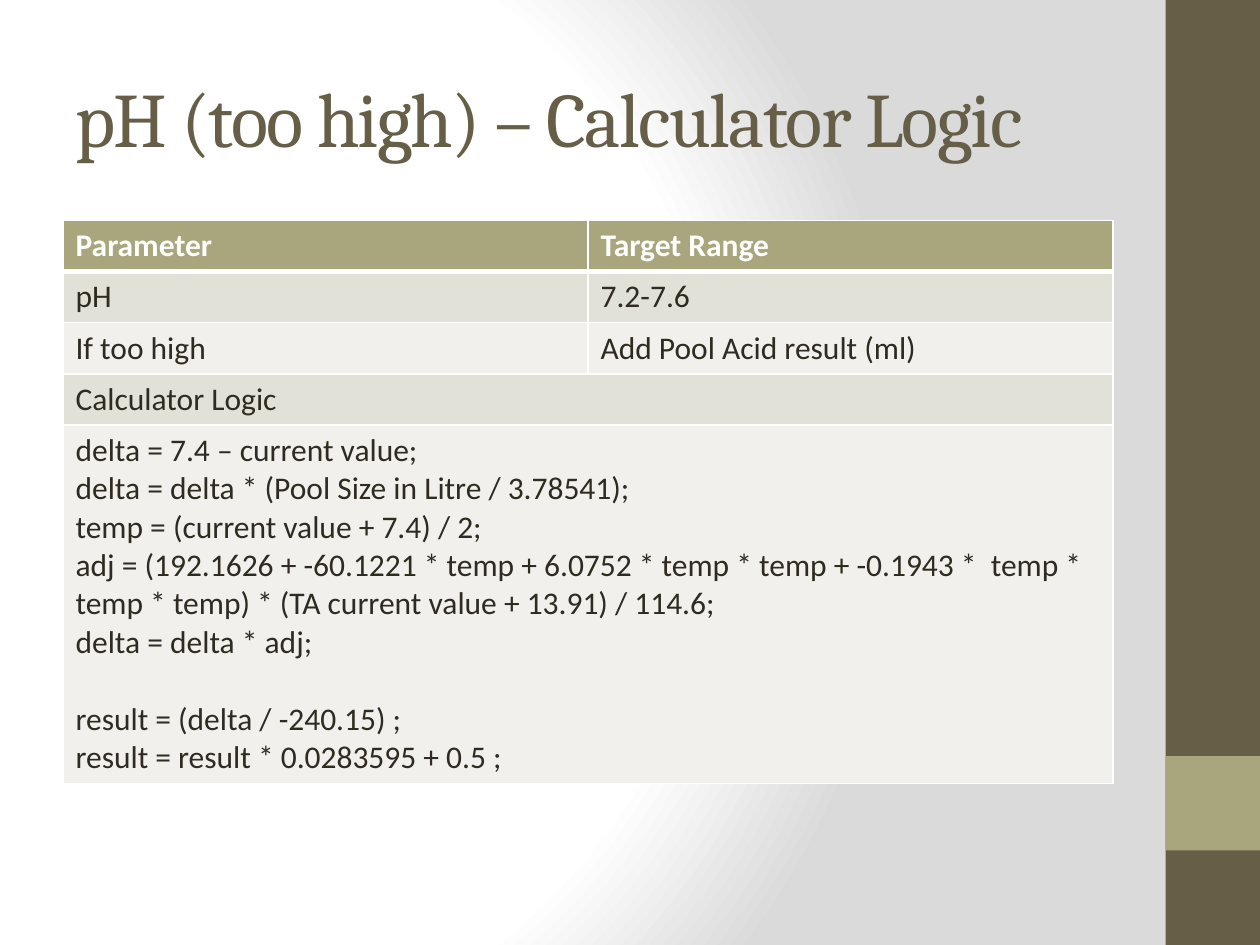
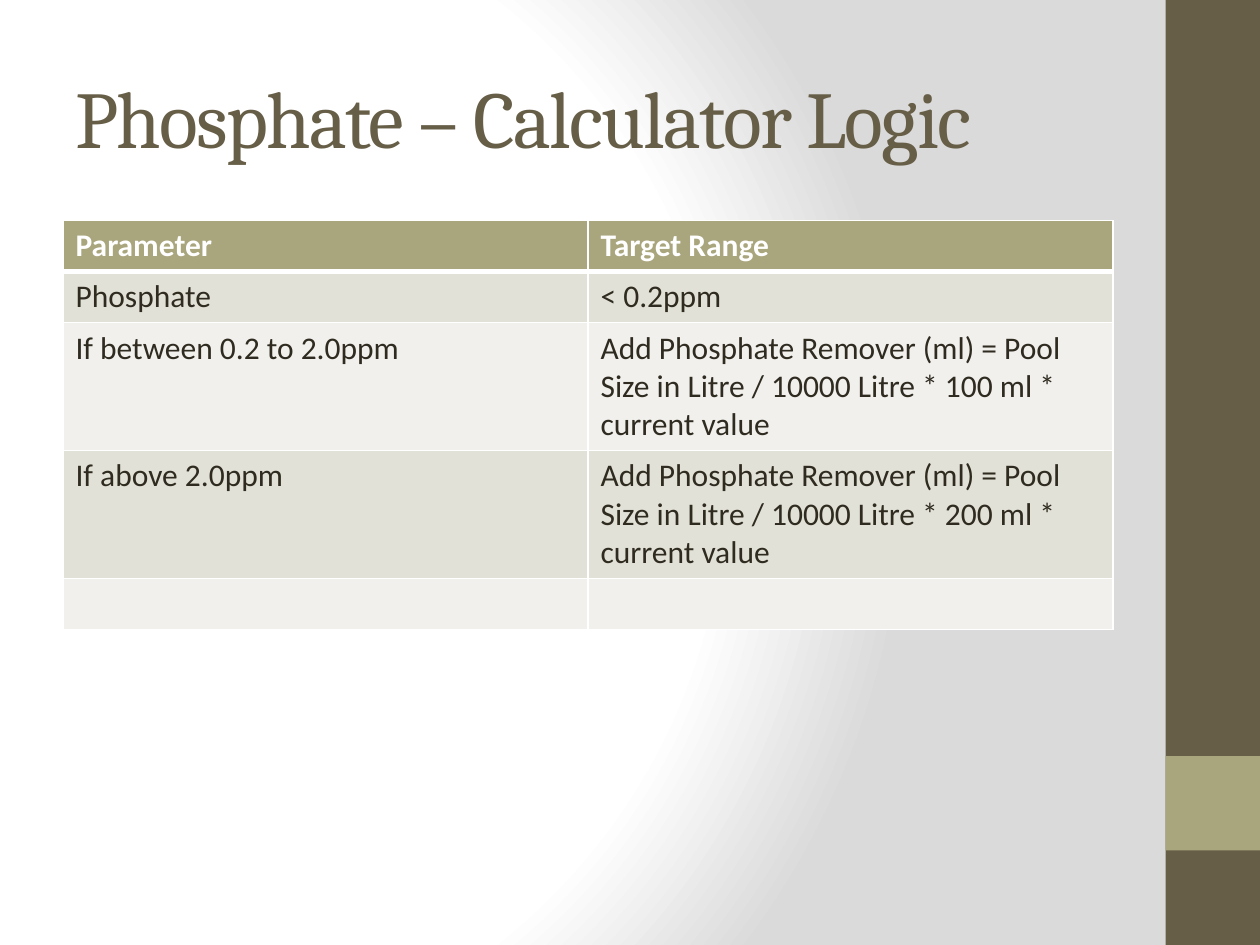
import dataclasses

import lxml.etree
import pptx
import pptx.dml.color
import pptx.enum.shapes
import pptx.enum.text
import pptx.oxml
import pptx.oxml.ns
import pptx.util

Pt = pptx.util.Pt
RGB = pptx.dml.color.RGBColor.from_string
qn = pptx.oxml.ns.qn


@dataclasses.dataclass(frozen=True)
class Theme:
    # Colours
    dark: str = "675E47"
    accent: str = "A9A57C"
    ink: str = "2F2B20"
    white: str = "FFFFFF"
    edge: str = "DADADA"
    bands: tuple = ("E2E1D7", "F1F0EC")
    # Type
    head: str = "Cambria"
    body: str = "Calibri"
    size: int = 18
    line: float = 21.95
    pad: float = 7.2
    # Borders
    thin: int = 1
    thick: int = 3


def apply(target, values):
    for name, value in values.items():
        setattr(target, name, value)


class Deck:
    left, width = 36, 600

    def __init__(self, theme):
        self.theme = theme
        self.prs = pptx.Presentation()
        apply(self.prs, {"slide_width": Pt(720), "slide_height": Pt(540)})
        self.layout = self.prs.slide_layouts.get_by_name("Title Only")
        self.slide = None
        self.backdrop()

    def backdrop(self):
        """Radial background, shared by every slide through the master."""
        t = self.theme
        fill = self.prs.slide_master.background.fill
        fill.solid()
        fill.fore_color.rgb = RGB(t.white)
        solid = next(self.prs.slide_master.element.iter(qn("a:solidFill")))
        stops = "".join(
            f'<a:gs pos="{pos * 1000}"><a:srgbClr val="{color}"/></a:gs>'
            for pos, color in ((0, t.white), (75, t.white), (100, t.edge)))
        grad = pptx.oxml.parse_xml(
            f'<a:gradFill {pptx.oxml.ns.nsdecls("a")} rotWithShape="1">'
            f'<a:gsLst>{stops}</a:gsLst><a:path path="circle">'
            '<a:fillToRect l="20000" t="50000" r="100000" b="50000"/>'
            '</a:path></a:gradFill>')
        solid.getparent().replace(solid, grad)

    def bands(self):
        """Right-hand bands, drawn once and moved to the layout."""
        t = self.theme
        for holder in list(self.layout.placeholders)[1:]:
            holder.element.getparent().remove(holder.element)
        bars = [self.box(666, 0, 54, 540, t.dark),
                self.box(666, 432, 54, 54, t.accent)]
        for spot, bar in enumerate(bars, 2):
            self.layout.shapes.element.insert(spot, bar.element)

    def box(self, left, top, width, height, color):
        shape = self.slide.shapes.add_shape(
            pptx.enum.shapes.MSO_SHAPE.RECTANGLE,
            Pt(left), Pt(top), Pt(width), Pt(height))
        shape.shadow.inherit = False
        shape.fill.solid()
        shape.fill.fore_color.rgb = RGB(color)
        shape.line.fill.background()
        return shape

    def page(self, title, size):
        first = self.slide is None
        self.slide = self.prs.slides.add_slide(self.layout)
        if first:
            self.bands()
        self.title(title, size)

    def text(self, para, words, color, **fmt):
        run = para.add_run()
        run.text = words
        apply(run.font, fmt)
        run.font.color.rgb = RGB(color)
        return run

    def title(self, words, size):
        holder = self.slide.shapes.title
        apply(holder, {"left": Pt(self.left), "top": Pt(21.6),
                       "width": Pt(self.width), "height": Pt(90)})
        frame = holder.text_frame
        apply(frame, {"word_wrap": True,
                      "auto_size": pptx.enum.text.MSO_AUTO_SIZE.NONE,
                      "vertical_anchor": pptx.enum.text.MSO_ANCHOR.MIDDLE})
        para = frame.paragraphs[0]
        para.alignment = pptx.enum.text.PP_ALIGN.LEFT
        run = self.text(para, words, self.theme.dark,
                        name=self.theme.head, size=Pt(size))
        run.font.element.set("spc", "-100") if hasattr(
            run.font, "element") else run._r.get_or_add_rPr().set("spc", "-100")

    def border(self, cell, row):
        t = self.theme
        widths = {"L": t.thin, "R": t.thin,
                  "T": t.thick if row == 1 else t.thin,
                  "B": t.thick if row == 0 else t.thin}
        props = cell._tc.get_or_add_tcPr()
        for side, width in widths.items():
            line = lxml.etree.SubElement(
                props, qn(f"a:ln{side}"), w=str(Pt(width)))
            fill = lxml.etree.SubElement(line, qn("a:solidFill"))
            lxml.etree.SubElement(fill, qn("a:srgbClr"), val=t.white)

    def cell(self, cell, row, words):
        t = self.theme
        self.border(cell, row)
        cell.fill.solid()
        cell.fill.fore_color.rgb = RGB(
            t.bands[(row - 1) % 2] if row else t.accent)
        frame = cell.text_frame
        # An empty line in the words becomes space before the next paragraph
        blocks = words.split("\n\n") if words else []
        lines = [(line, bool(b) and not n) for b, block in enumerate(blocks)
                 for n, line in enumerate(block.split("\n"))]
        for spot, (line, gap) in enumerate(lines):
            para = frame.add_paragraph() if spot else frame.paragraphs[0]
            if gap:
                para.space_before = Pt(t.line)
            self.text(para, line, t.ink if row else t.white, name=t.body,
                      size=Pt(t.size), bold=row == 0)

    def table(self, rows):
        """Each row is (line count, cells); a lone cell spans the row."""
        t = self.theme
        rows = [(1, ("Parameter", "Target Range")), *rows]
        tall = [count * t.line + t.pad for count, _ in rows]
        grid = self.slide.shapes.add_table(
            len(rows), 2, Pt(self.left), Pt(126),
            Pt(self.width), Pt(sum(tall))).table
        for row, (_, words) in enumerate(rows):
            grid.rows[row].height = Pt(tall[row])
            for col in range(2):
                self.cell(grid.cell(row, col), row,
                          words[col] if col < len(words) else "")
            if len(words) == 1:
                grid.cell(row, 0).merge(grid.cell(row, 1))


LOGIC = """delta = 7.4 – current value;
delta = delta * (Pool Size in Litre / 3.78541);
temp = (current value + 7.4) / 2;
adj = (192.1626 + -60.1221 * temp + 6.0752 * temp * temp + -0.1943 *  temp * temp * temp) * (TA current value + 13.91) / 114.6;
delta = delta * adj;

result = (delta / -240.15) ;
result = result * 0.0283595 + 0.5 ;"""


def dose(amount):
    return ("Add Phosphate Remover (ml) = Pool Size in Litre / 10000 Litre"
            f" * {amount} ml * current value")


def main():
    deck = Deck(Theme())

    # pH
    deck.page("pH (too high) – Calculator Logic", 44)
    deck.table([
        (1, ("pH", "7.2-7.6")),
        (1, ("If too high", "Add Pool Acid result (ml)")),
        (1, ("Calculator Logic",)),
        (9, (LOGIC,)),
    ])

    # Phosphate
    deck.page("Phosphate – Calculator Logic", 46)
    deck.table([
        (1, ("Phosphate", "< 0.2ppm")),
        (3, ("If between 0.2 to 2.0ppm", dose(100))),
        (3, ("If above 2.0ppm", dose(200))),
        (1, ("", "")),
    ])

    deck.prs.save("out.pptx")


if __name__ == "__main__":
    main()
